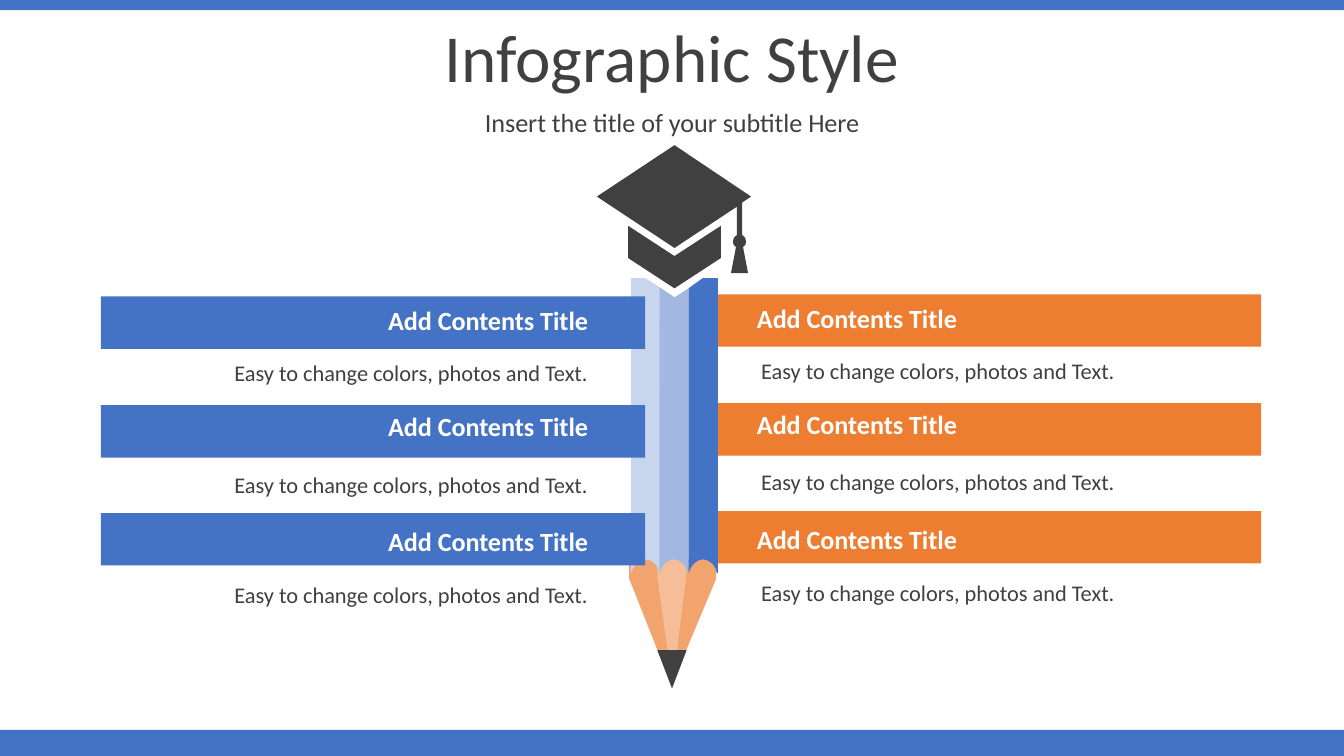
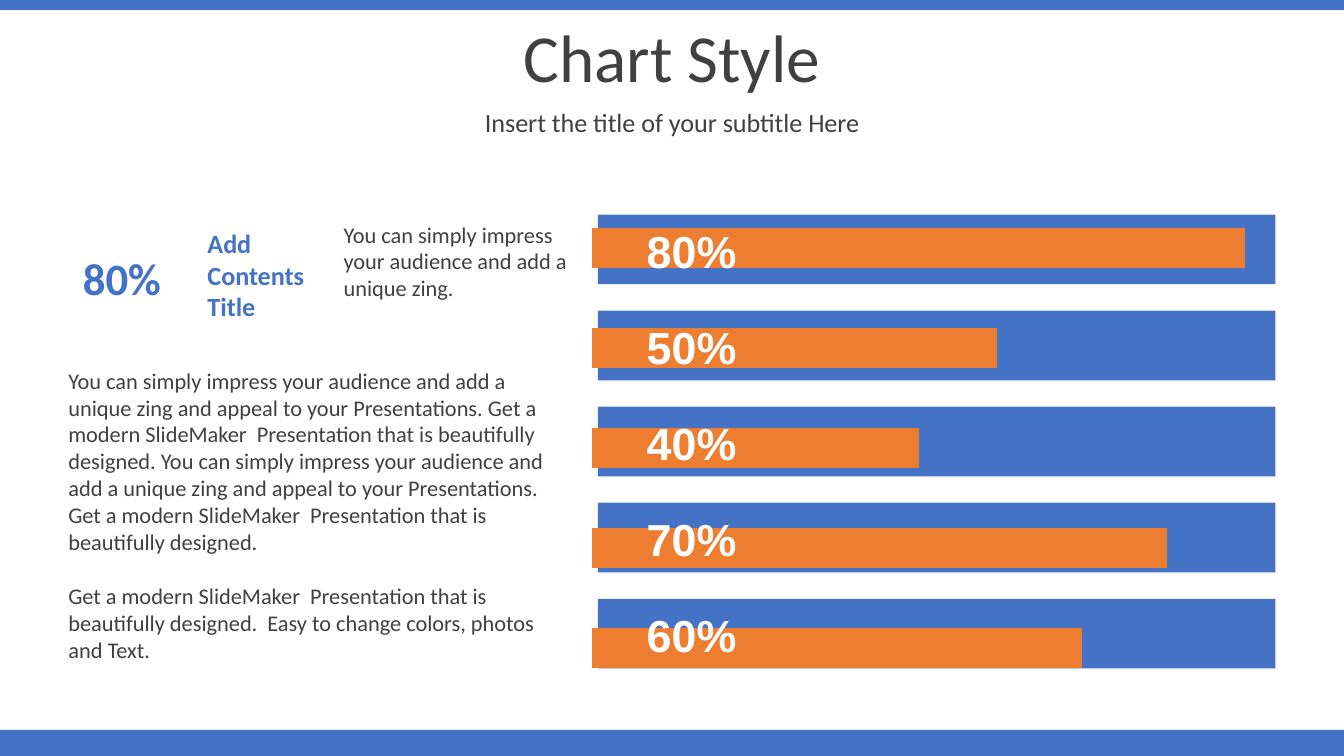
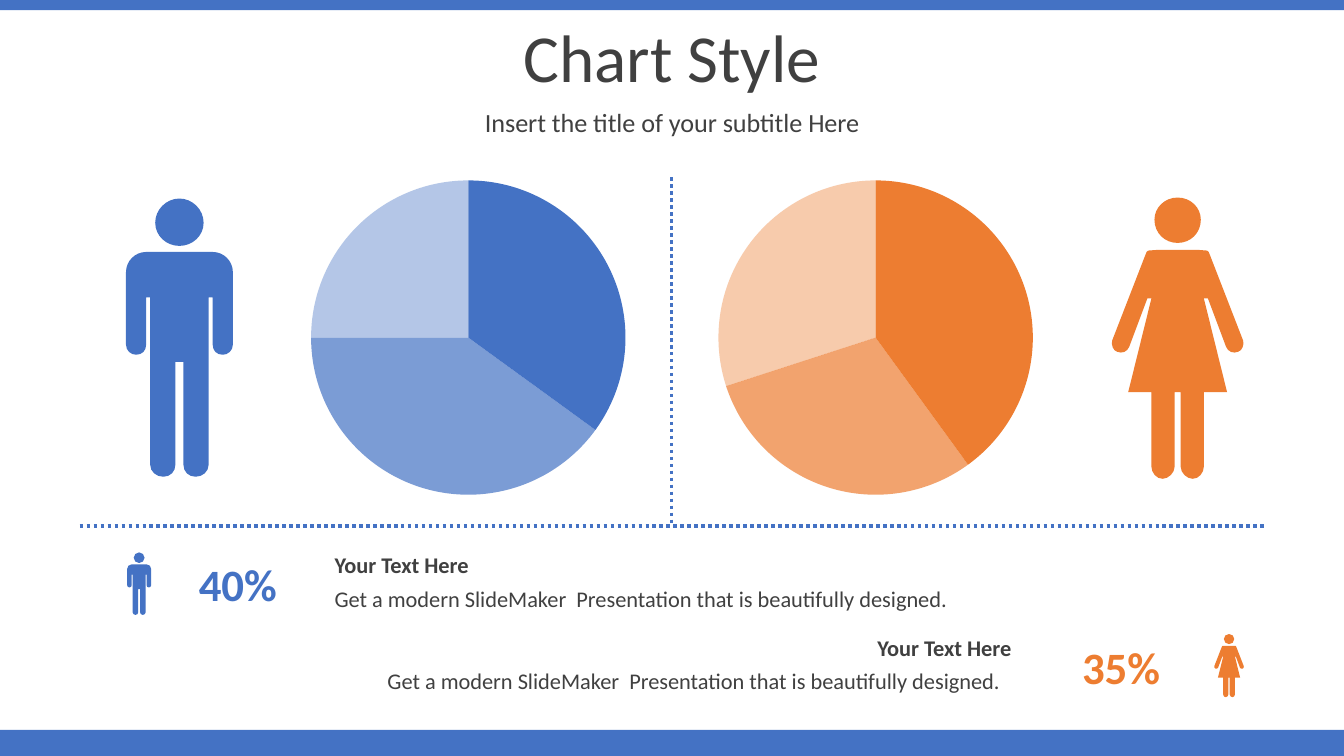
"""Build a three-slide infographic deck with a pencil, a bar chart and two pie charts."""
from dataclasses import dataclass
from itertools import pairwise

from pptx import Presentation
from pptx.chart.data import CategoryChartData
from pptx.dml.color import RGBColor
from pptx.enum.chart import XL_CHART_TYPE
from pptx.enum.dml import MSO_LINE
from pptx.enum.shapes import MSO_CONNECTOR, MSO_SHAPE
from pptx.enum.text import MSO_ANCHOR, PP_ALIGN
from pptx.oxml import parse_xml
from pptx.oxml.ns import nsdecls, qn
from pptx.oxml.xmlchemy import OxmlElement
from pptx.util import Inches, Pt

LEFT, CENTER, RIGHT = PP_ALIGN.LEFT, PP_ALIGN.CENTER, PP_ALIGN.RIGHT
TOP, MIDDLE = MSO_ANCHOR.TOP, MSO_ANCHOR.MIDDLE
RECTANGLE, TRIANGLE = MSO_SHAPE.RECTANGLE, MSO_SHAPE.ISOSCELES_TRIANGLE
STRAIGHT = MSO_CONNECTOR.STRAIGHT
DOTTED = MSO_LINE.ROUND_DOT
BAR, PIE = XL_CHART_TYPE.BAR_CLUSTERED, XL_CHART_TYPE.PIE


@dataclass(frozen=True)
class Theme:
    """Colours, fonts and type sizes of the deck."""
    blue: str = "4472C4"
    orange: str = "ED7D31"
    dark: str = "404040"
    white: str = "FFFFFF"
    wood: str = "F2A46F"
    light_wood: str = "F6BE98"
    pale_blue: str = "C7D5ED"
    soft_blue: str = "A2B8E1"
    font: str = "Calibri"
    label_font: str = "Arial"
    title: float = 48
    heading: float = 18.67
    body: float = 16
    figure: float = 32
    chart: float = 18


THEME = Theme()
WIDTH, HEIGHT = 13.33, 7.5
BANDS = [(0, 7.24, WIDTH, 0.26), (0, 0, WIDTH, 0.1)]

SUBTITLE = "Insert the title of your subtitle Here"
ITEM_TITLE = "Add Contents Title"
ITEM_TEXT = "Easy to change colors, photos and Text."
MODERN = "Get a modern SlideMaker  Presentation that is beautifully designed."
IMPRESS = "You can simply impress your audience and add a unique zing"
STORY = [
    f"{IMPRESS} and appeal to your Presentations. {MODERN} "
    f"{IMPRESS} and appeal to your Presentations. {MODERN}",
    f"{MODERN}  Easy to change colors, photos and Text.",
]

ITEM_ROWS = [(2.92, 2.95, 3.49), (4, 4, 4.6), (5.07, 5.14, 5.7)]
WOOD = [(6.24, 5.54), (7.11, 5.55), (7.1, 5.75), (6.66, 6.8), (6.24, 5.74)]
WOOD_LIGHT = [(6.52, 5.53), (6.81, 5.53), (6.81, 5.68), (6.67, 6.8), (6.52, 5.73)]
STRIPES = [
    (THEME.pale_blue, 6.26, [(0, 2.76), (0.14, 2.76), (0.28, 2.85)]),
    (THEME.soft_blue, 6.54, [(0, 2.85), (0.15, 2.95), (0.29, 2.86)]),
    (THEME.blue, 6.83, [(0, 2.86), (0.14, 2.76), (0.29, 2.76)]),
]
SCALLOP = [(0.29, 5.69), (0.28, 5.69), (0.27, 5.61, 0.21, 5.55, 0.14, 5.55),
           (0.08, 5.55, 0.02, 5.61, 0, 5.69)]
CAP = [
    [(6.23, 2.24), (6.69, 2.54), (7.15, 2.24), (7.15, 2.56), (6.69, 2.86), (6.23, 2.56)],
    [(6.69, 1.44), (7.45, 1.95), (7.36, 2.01), (7.36, 2.33),
     (7.39, 2.34, 7.4, 2.37, 7.4, 2.4), (7.4, 2.42, 7.39, 2.44, 7.37, 2.45),
     (7.42, 2.71), (7.25, 2.71), (7.3, 2.45),
     (7.28, 2.44, 7.27, 2.42, 7.27, 2.4), (7.27, 2.37, 7.28, 2.34, 7.31, 2.33),
     (7.31, 2.05), (6.69, 2.46), (5.92, 1.95)],
]

BAR_LABELS = ["80%", "50%", "40%", "70%", "60%"]
BAR_VALUES = [75, 88, 50, 62, 100]
FIRST_BAR, LAST_BAR = 2.13, 5.94

MAN = [
    [(0.33, 0.53), (0.44, 0.53, 0.53, 0.62, 0.53, 0.73), (0.53, 1.45),
     (0.53, 1.51, 0.48, 1.55, 0.43, 1.55), (0.37, 1.55, 0.33, 1.51, 0.33, 1.45),
     (0.33, 0.98), (0.29, 0.98), (0.29, 2.64), (0.29, 2.71, 0.23, 2.76, 0.16, 2.76),
     (0.09, 2.76, 0.04, 2.71, 0.04, 2.64), (0.04, 1.62)],
    [(0, 0), (0.13, 0, 0.24, 0.11, 0.24, 0.24), (0.24, 0.37, 0.13, 0.47, 0, 0.47)],
]
WOMAN = [
    [(0.21, 0.52), (0.3, 0.53, 0.3, 0.51, 0.32, 0.57), (0.65, 1.42),
     (0.66, 1.46, 0.64, 1.52, 0.6, 1.53), (0.55, 1.55, 0.5, 1.53, 0.48, 1.48),
     (0.3, 1), (0.26, 1), (0.49, 1.93), (0.26, 1.93), (0.26, 2.67),
     (0.26, 2.73, 0.21, 2.79, 0.15, 2.79), (0.09, 2.79, 0.03, 2.73, 0.03, 2.67),
     (0.03, 1.93)],
    [(0, 0), (0.13, 0, 0.23, 0.1, 0.23, 0.22), (0.23, 0.35, 0.13, 0.45, 0, 0.45)],
]
SMALL = 0.62 / 2.76
PEOPLE = [
    (MAN, THEME.blue, 1.78, 1.97, 1),
    (WOMAN, THEME.orange, 11.68, 1.96, 1),
    (MAN, THEME.blue, 1.38, 5.48, SMALL),
    (WOMAN, THEME.orange, 12.19, 6.29, SMALL),
]
PIES = [(6.99, THEME.orange, [40, 30, 30]), (2.95, THEME.blue, [35, 40, 25])]
PIE_OPACITY = [100, 70, 40]
DIVIDERS = [(6.66, 1.76, 6.66, 5.22), (0.79, 5.22, 12.55, 5.22)]
CAPTIONS = [
    ("40%", THEME.blue, 1.73, 5.47, 5.42, 5.76, LEFT, 6.91),
    ("35%", THEME.orange, 10.49, 6.29, 6.24, 6.57, RIGHT, 6.8),
]


def inches(*lengths):
    """Turn numbers into lengths."""
    return [Inches(length) for length in lengths]


def paint(shape, color):
    """Give a shape a flat fill without line or shadow."""
    shape.shadow.inherit = False
    shape.fill.solid()
    shape.fill.fore_color.rgb = RGBColor.from_string(color)
    shape.line.fill.background()
    return shape


def add_block(page, area, color, kind=RECTANGLE):
    """Add a flat preset shape."""
    return paint(page.shapes.add_shape(kind, *inches(*area)), color)


def fill_text(box, lines, size, color, bold=False, align=LEFT, anchor=TOP,
              font=THEME.font):
    """Write and format the paragraphs of a box."""
    frame = box.text_frame
    frame.word_wrap = True
    frame.vertical_anchor = anchor
    frame.text = "\n".join(lines)
    for para in frame.paragraphs:
        para.alignment = align
        for span in para.runs:
            span.font.size = Pt(size)
            span.font.bold = bold
            span.font.name = font
            span.font.color.rgb = RGBColor.from_string(color)
    return frame.paragraphs


def add_text(page, area, text, size=THEME.body, color=THEME.dark, **style):
    """Add a text box with one paragraph."""
    box = page.shapes.add_textbox(*inches(*area))
    return fill_text(box, [text], size, color, **style)


def add_page(deck, title):
    """Add a slide with the shared title and subtitle."""
    page = deck.slides.add_slide(deck.slide_layouts[5])
    heading = page.shapes.title
    heading.left, heading.top, heading.width, heading.height = inches(0, 0.18, WIDTH, 0.84)
    paras = [
        *fill_text(heading, [title], THEME.title, THEME.dark, align=CENTER, anchor=MIDDLE),
        *add_text(page, (0, 1.02, WIDTH, 0.42), SUBTITLE, THEME.heading,
                  align=CENTER, anchor=MIDDLE),
    ]
    for para in paras:
        para.line_spacing = 0.9
        para.space_before = Pt(10)
    return page


def split(segment):
    """Split a segment into its points."""
    return list(zip(segment[::2], segment[1::2]))


def place(outline, left, top=0, scale=1):
    """Scale and move an outline."""
    return [sum(((left + x * scale, top + y * scale) for x, y in split(segment)), ())
            for segment in outline]


def mirror(half):
    """Complete an outline with its reflection across the vertical axis."""
    whole = list(half)
    end_x, end_y = half[-1][-2:]
    if end_x:
        whole.append((-end_x, end_y))
    for before, segment in reversed(list(pairwise(half))):
        points = split(segment)[-2::-1] + [before[-2:]]
        whole.append(sum(((-x, y) for x, y in points), ()))
    return whole


def add_outline(page, outlines, color):
    """Draw closed outlines of lines and Bezier curves as one freeform."""
    builder = None
    for outline in outlines:
        start, *rest = [inches(*point) for segment in outline for point in split(segment)]
        if builder is None:
            builder = page.shapes.build_freeform(*start)
        else:
            builder.move_to(*start)
        builder.add_line_segments(rest, close=True)
    shape = paint(builder.convert_to_shape(), color)
    steps = iter(list(shape.element.find(f".//{qn('a:path')}")))
    for outline in outlines:
        for segment in outline:
            first, *others = [next(steps) for _ in split(segment)]
            if others:
                curve = OxmlElement("a:cubicBezTo")
                first.addprevious(curve)
                for step in (first, *others):
                    curve.append(step[0])
                    step.getparent().remove(step)
        next(steps)


def add_person(page, halves, color, middle, top, scale):
    """Draw a symmetrical figure."""
    add_outline(page, [place(mirror(half), middle, top, scale) for half in halves], color)


def add_plot(page, kind, area, values, margin):
    """Add a bare chart whose plot leaves an even margin."""
    data = CategoryChartData()
    data.categories = [str(number) for number in range(1, len(values) + 1)]
    data.add_series("Series 1", values)
    chart = page.shapes.add_chart(kind, *inches(*area), data).chart
    chart.has_title = chart.has_legend = False
    chart.font.size = Pt(THEME.chart)
    chart.font.name = THEME.font
    plot_area = chart._chartSpace.find(f".//{qn('c:plotArea')}")
    for layout in plot_area.findall(qn("c:layout")):
        plot_area.remove(layout)
    size = 1 - 2 * margin
    places = "".join(f'<c:{name} val="{value:.2f}"/>' for name, value in
                     (("x", margin), ("y", margin), ("w", size), ("h", size)))
    plot_area.insert(0, parse_xml(
        f'<c:layout {nsdecls("c")}><c:manualLayout><c:layoutTarget val="inner"/>'
        f'<c:xMode val="edge"/><c:yMode val="edge"/>{places}</c:manualLayout></c:layout>'))
    return chart


def add_bars(page):
    """Add the bar chart with hidden axes."""
    chart = add_plot(page, BAR, (5.72, 1.86, 7.59, 5.17), BAR_VALUES, 0.02)
    chart.value_axis.minimum_scale = 0
    chart.value_axis.maximum_scale = 112.5
    for axis in (chart.value_axis, chart.category_axis):
        axis.has_major_gridlines = False
        axis.visible = False
    plot = chart.plots[0]
    plot.gap_width = 150
    plot.vary_by_categories = False
    fill = plot.series[0].format.fill
    fill.solid()
    fill.fore_color.rgb = RGBColor.from_string(THEME.orange)


def add_pie(page, left, color, values):
    """Add a pie chart in fading tints of one colour."""
    chart = add_plot(page, PIE, (left, 1.65, 3.39, 3.4), values, 0.04)
    series = chart.plots[0].series[0]
    for index, opacity in enumerate(PIE_OPACITY):
        slice_format = series.points[index].format
        slice_format.line.fill.background()
        slice_format.fill.solid()
        slice_format.fill.fore_color.rgb = RGBColor.from_string(color)
        if opacity < 100:
            alpha = OxmlElement("a:alpha")
            alpha.set("val", str(opacity * 1000))
            properties = slice_format.fill._xPr
            properties.find(f"{qn('a:solidFill')}/{qn('a:srgbClr')}").append(alpha)


def add_divider(page, ends):
    """Add a dotted line."""
    line = page.shapes.add_connector(STRAIGHT, *inches(*ends))
    line.line.color.rgb = RGBColor.from_string(THEME.blue)
    line.line.width = Pt(2.5)
    line.line.dash_style = DOTTED
    line.element.spPr.append(OxmlElement("a:effectLst"))


def add_pencil(page):
    """Draw the pencil with its graduation cap."""
    add_outline(page, [WOOD], THEME.wood)
    add_outline(page, [WOOD_LIGHT], THEME.light_wood)
    for color, left, top in STRIPES:
        add_outline(page, [place(top + SCALLOP, left)], color)
    add_block(page, (6.52, 6.45, 0.29, 0.38), THEME.dark, TRIANGLE).rotation = 180
    add_outline(page, CAP, THEME.dark)


def build_infographic(deck):
    """Build the pencil slide."""
    page = add_page(deck, "Infographic Style")
    for bar_top, _, _ in ITEM_ROWS:
        add_block(page, (7.11, bar_top, 5.4, 0.52), THEME.orange)
    add_pencil(page)
    for bar_top, _, _ in ITEM_ROWS:
        add_block(page, (1, bar_top + 0.02, 5.4, 0.52), THEME.blue)
    for title_left, text_left, drop, align in ((7.41, 7.45, 0, LEFT), (2.47, 1.15, 0.02, RIGHT)):
        for _, title_top, text_top in ITEM_ROWS:
            add_text(page, (title_left, title_top + drop, 3.46, 0.42), ITEM_TITLE,
                     THEME.heading, THEME.white, bold=True, align=align)
            add_text(page, (text_left, text_top + drop, 4.78, 0.37), ITEM_TEXT, align=align)


def build_bar_slide(deck):
    """Build the bar chart slide."""
    page = add_page(deck, "Chart Style")
    step = (LAST_BAR - FIRST_BAR) / (len(BAR_LABELS) - 1)
    tops = [FIRST_BAR + step * row for row in range(len(BAR_LABELS))]
    for top in tops:
        add_block(page, (5.93, top, 6.72, 0.69), THEME.blue)
    add_bars(page)
    for top, label in zip(tops, BAR_LABELS):
        add_text(page, (6.23, top + 0.04, 1.26, 0.64), label, THEME.figure, THEME.white,
                 bold=True, align=CENTER, anchor=MIDDLE, font=THEME.label_font)
    add_text(page, (0.58, 2.43, 1.26, 0.64), BAR_LABELS[0], THEME.figure, THEME.blue,
             bold=True, align=CENTER, anchor=MIDDLE)
    add_text(page, (1.96, 2.21, 1.47, 1.04), ITEM_TITLE, THEME.heading, THEME.blue, bold=True)
    add_text(page, (3.31, 2.14, 2.44, 0.91), f"{IMPRESS}.")
    box = page.shapes.add_textbox(*inches(0.58, 3.59, 5.14, 3.06))
    paras = fill_text(box, STORY, THEME.body, THEME.dark)
    paras[1].space_before = Pt(19.5)


def build_pie_slide(deck):
    """Build the slide with two pies."""
    page = add_page(deck, "Chart Style")
    for pie in PIES:
        add_pie(page, *pie)
    for person in PEOPLE:
        add_person(page, *person)
    for ends in DIVIDERS:
        add_divider(page, ends)
    for value, color, left, top, title_top, text_top, align, width in CAPTIONS:
        add_text(page, (left, top, 1.26, 0.64), value, THEME.figure, color,
                 bold=True, align=CENTER, anchor=MIDDLE)
        add_text(page, (3.22, title_top, 6.91, 0.37), "Your Text Here", bold=True, align=align)
        add_text(page, (3.22, text_top, width, 0.37), MODERN, align=align)
    return page


def add_bands(deck, page):
    """Draw the bands and hand them to the slide master."""
    for area in BANDS:
        band = add_block(page, area, THEME.blue)
        deck.slide_master.shapes.element.insert(2, band.element)


def main():
    """Build and save the deck."""
    deck = Presentation()
    deck.slide_width, deck.slide_height = inches(WIDTH, HEIGHT)
    build_infographic(deck)
    build_bar_slide(deck)
    add_bands(deck, build_pie_slide(deck))
    deck.save("out.pptx")


main()
